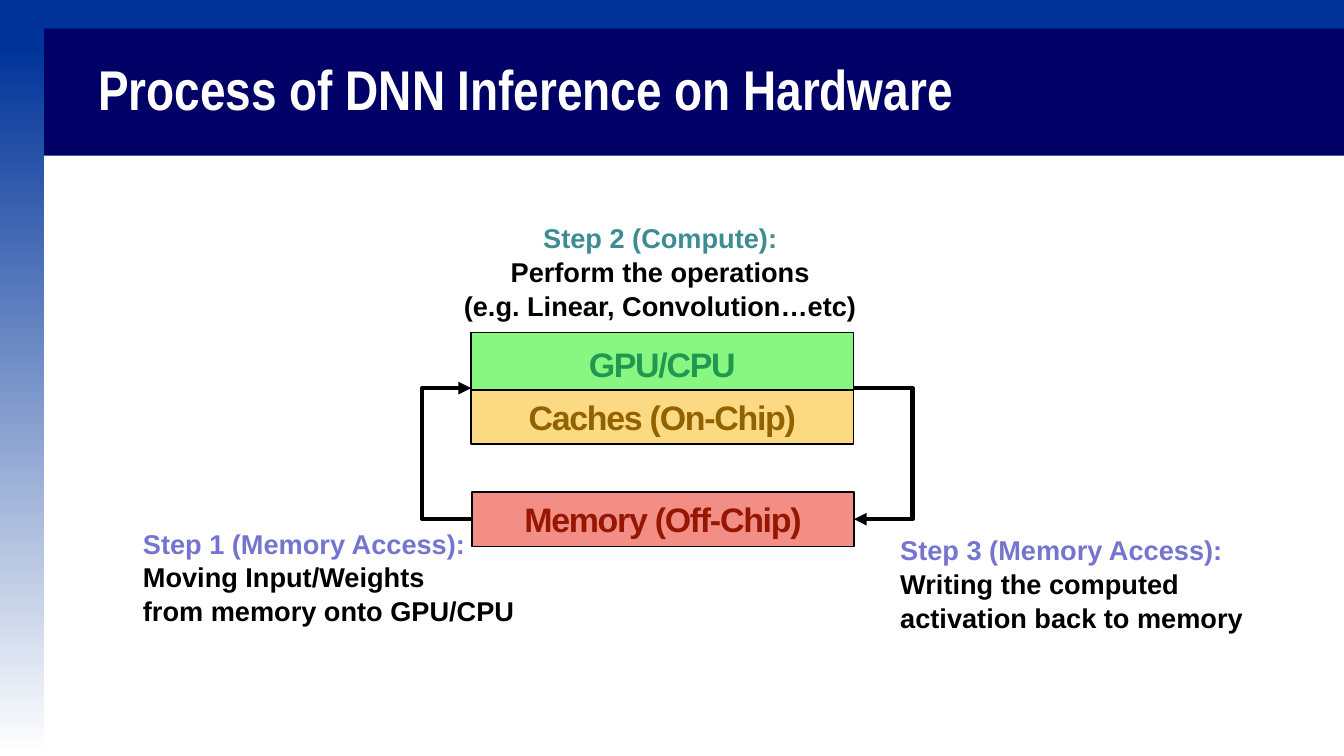
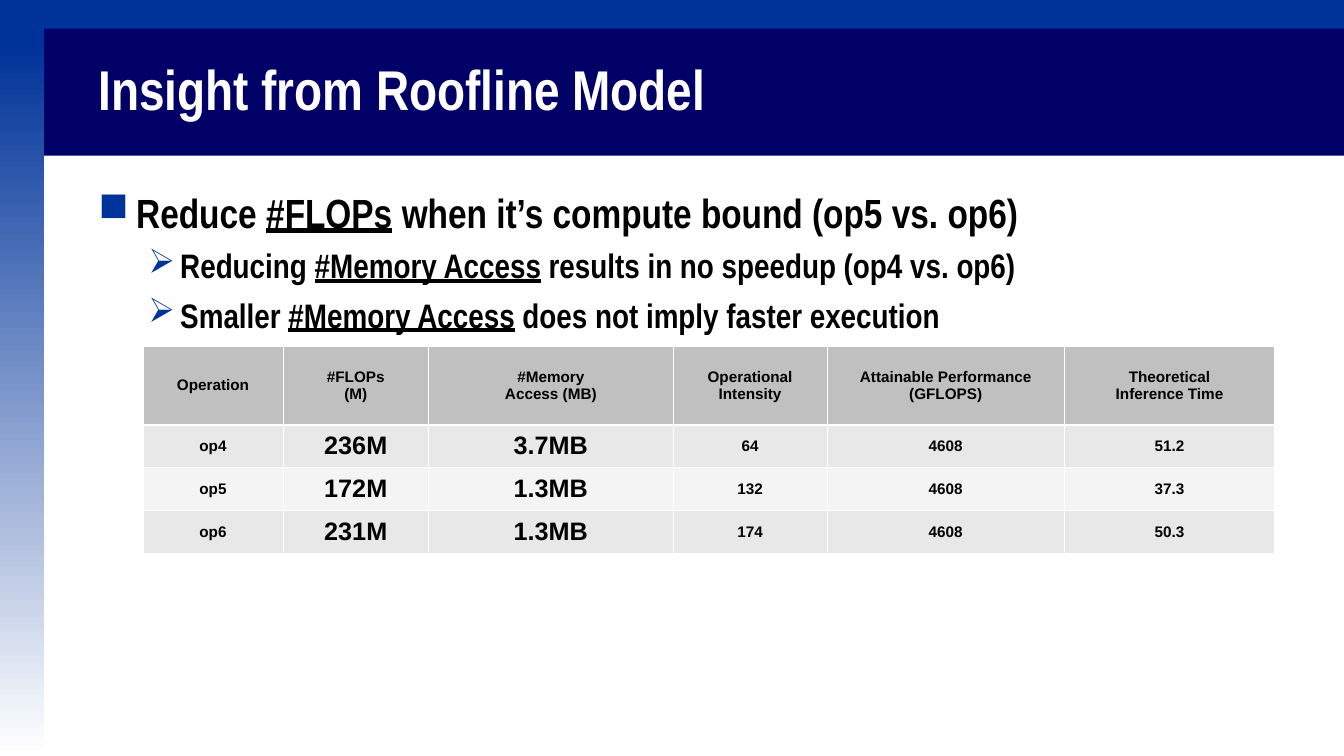
from dataclasses import dataclass

from lxml import etree
from pptx import Presentation
from pptx.dml.color import RGBColor
from pptx.enum.shapes import MSO_CONNECTOR, MSO_SHAPE
from pptx.enum.text import MSO_ANCHOR, PP_ALIGN
from pptx.oxml.ns import qn
from pptx.util import Cm, Pt

RECTANGLE = MSO_SHAPE.RECTANGLE
ELBOW = MSO_CONNECTOR.ELBOW
TOP, MIDDLE = MSO_ANCHOR.TOP, MSO_ANCHOR.MIDDLE
LEFT, CENTER = PP_ALIGN.LEFT, PP_ALIGN.CENTER

SANS, NARROW = "Arial", "Arial Narrow"
BLUE, NAVY, WHITE, BLACK = "003399", "000066", "FFFFFF", "000000"
TEAL, VIOLET = "3C8C93", "7575D1"
HEADER_GRAY, ROW_GRAYS = "C0C0C0", ("E8E8E8", "F4F4F4")
SLIDE_W, SLIDE_H = 55.85, 31.42
LEFT_SIDE, RIGHT_SIDE = 1, 3


@dataclass(frozen=True)
class Unit:
    label: str
    left: float
    top: float
    height: float
    fill: str
    ink: str
    anchor: MSO_ANCHOR = MIDDLE


@dataclass(frozen=True)
class Step:
    heading: str
    details: tuple[str, ...]
    left: float
    top: float
    width: float
    ink: str
    align: PP_ALIGN = LEFT


@dataclass(frozen=True)
class Point:
    before: str
    key: str
    after: str
    size: int
    bullet: str
    margin: float
    hang: float


@dataclass(frozen=True)
class Column:
    heading: str
    width: float
    values: tuple[str, ...]
    size: float = 18


UNIT_W = 15.88
PROCESSOR = Unit("GPU/CPU", 19.58, 13.82, 4.62, "88F781", "21984F", TOP)
CACHES = Unit("Caches (On-Chip)", 19.58, 16.2, 2.26, "FCDA84", "926100")
MEMORY = Unit("Memory (Off-Chip)", 19.61, 20.45, 2.26, "F38E86", "951700")

STEPS = (
    Step("Step 2 (Compute):", ("Perform the operations", "(e.g. Linear, Convolution…etc)"),
         18.97, 9.04, 16.94, TEAL, CENTER),
    Step("Step 1 (Memory Access):", ("Moving Input/Weights", "from memory onto GPU/CPU"),
         5.69, 21.72, 16.41, VIOLET),
    Step("Step 3 (Memory Access):", ("Writing the computed", "activation back to memory"),
         37.16, 22, 14.86, VIOLET),
)

POINTS = (
    Point("Reduce ", "#FLOPs", " when it’s compute bound (op5 vs. op6)", 48, "■", 1.57, 1.57),
    Point("Reducing ", "#Memory Access", " results in no speedup (op4 vs. op6)", 40, "➢", 3.4, 1.32),
    Point("Smaller ", "#Memory Access", " does not imply faster execution", 40, "➢", 3.4, 1.32),
)

COLUMNS = (
    Column("Operation", 5.82, ("op4", "op5", "op6")),
    Column("#FLOPs\n(M)", 6.05, ("236M", "172M", "231M"), 29.7),
    Column("#Memory\nAccess (MB)", 10.16, ("3.7MB", "1.3MB", "1.3MB"), 29.7),
    Column("Operational Intensity", 6.4, ("64", "132", "174")),
    Column("Attainable Performance\n(GFLOPS)", 9.86, ("4608", "4608", "4608")),
    Column("Theoretical\nInference Time", 8.74, ("51.2", "37.3", "50.3")),
)
HEADER_H, ROW_H = 3.25, 1.78


def rgb(value: str) -> RGBColor:
    return RGBColor.from_string(value)


def style(paragraph, face: str, size: float, ink: str, align=LEFT) -> None:
    paragraph.alignment = align
    font = paragraph.font
    font.name, font.size, font.bold = face, Pt(size), True
    font.color.rgb = rgb(ink)


def add_box(slide, left: float, top: float, width: float, height: float):
    box = slide.shapes.add_shape(RECTANGLE, Cm(left), Cm(top), Cm(width), Cm(height))
    box.shadow.inherit = False
    box.line.fill.background()
    return box


def add_band(slide, left: float, top: float, width: float, height: float, fill: str):
    band = add_box(slide, left, top, width, height)
    band.fill.solid()
    band.fill.fore_color.rgb = rgb(fill)
    return band


def add_text(slide, left: float, top: float, width: float, height: float):
    box = slide.shapes.add_textbox(Cm(left), Cm(top), Cm(width), Cm(height))
    box.text_frame.word_wrap = True
    return box.text_frame


def add_titled_slide(deck, title: str):
    slide = deck.slides.add_slide(deck.slide_layouts[6])
    add_band(slide, 0, 0, SLIDE_W, 3.3, BLUE)
    add_band(slide, 0, 1.19, SLIDE_W, 5.28, NAVY)
    stripe = add_box(slide, 0, 0, 1.85, SLIDE_H)
    stripe.fill.gradient()
    stripe.fill.gradient_angle = 270
    for stop, position, ink in zip(stripe.fill.gradient_stops, (0.06, 1), (BLUE, WHITE)):
        stop.position = position
        stop.color.rgb = rgb(ink)
    frame = add_text(slide, 3.84, 1.19, 48.16, 5.28)
    frame.vertical_anchor = MIDDLE
    heading = frame.paragraphs[0]
    heading.text = title
    heading.line_spacing = 0.9
    style(heading, NARROW, 66, WHITE)
    return slide


def add_unit(slide, unit: Unit):
    box = add_band(slide, unit.left, unit.top, UNIT_W, unit.height, unit.fill)
    box.line.color.rgb = rgb(BLACK)
    box.line.width = Pt(1.75)
    frame = box.text_frame
    frame.vertical_anchor = unit.anchor
    if unit.anchor == TOP:
        frame.margin_top = Cm(0.45)
    label = frame.paragraphs[0]
    label.text = unit.label
    style(label, SANS, 40, unit.ink, CENTER)
    label._p.get_or_add_pPr().get_or_add_defRPr().set("spc", "-150")
    return box


def add_transfer(slide, processor, memory, side: int, bend: float, arrow_end: str) -> None:
    link = slide.shapes.add_connector(ELBOW, 0, 0, 0, 0)
    link.begin_connect(processor, side)
    link.end_connect(memory, side)
    link.line.color.rgb = rgb(BLACK)
    link.line.width = Pt(5)
    properties = link._element.spPr
    etree.SubElement(properties.find(qn("a:ln")), qn(arrow_end), type="triangle")
    etree.SubElement(properties, qn("a:effectLst"))
    geometry = properties.find(qn("a:prstGeom"))
    guides = geometry.find(qn("a:avLst"))
    if guides is None:
        guides = etree.SubElement(geometry, qn("a:avLst"))
    ratio = round((Cm(bend) - link.begin_x) / (link.end_x - link.begin_x) * 100000)
    etree.SubElement(guides, qn("a:gd"), name="adj1", fmla=f"val {ratio}")


def add_step(slide, step: Step) -> None:
    frame = add_text(slide, step.left, step.top, step.width, 4.37)
    frame.word_wrap = False
    frame.text = "\n".join((step.heading, *step.details))
    for index, paragraph in enumerate(frame.paragraphs):
        paragraph.line_spacing = 1.04
        style(paragraph, SANS, 32, BLACK if index else step.ink, step.align)


def add_points(slide, points: tuple[Point, ...]) -> None:
    frame = add_text(slide, 3.84, 7.67, 51.18, 6.6)
    for index, point in enumerate(points):
        paragraph = frame.add_paragraph() if index else frame.paragraphs[0]
        for text in (point.before, point.key, point.after):
            run = paragraph.add_run()
            run.text = text
            if text == point.key:
                run.font.underline = True
        properties = paragraph._p.get_or_add_pPr()
        properties.set("marL", str(Cm(point.margin)))
        properties.set("indent", str(-Cm(point.hang)))
        tint = etree.SubElement(properties, qn("a:buClr"))
        etree.SubElement(tint, qn("a:srgbClr"), val=BLUE)
        etree.SubElement(properties, qn("a:buChar"), char=point.bullet)
        if index:
            paragraph.space_before = Pt(10)
        style(paragraph, NARROW, point.size, BLACK)


def fill_cell(cell, text: str, size: float, fill: str, rules: dict[str, float]) -> None:
    cell.text = text
    cell.vertical_anchor = MIDDLE
    for paragraph in cell.text_frame.paragraphs:
        style(paragraph, SANS, size, BLACK, CENTER)
    properties = cell._tc.get_or_add_tcPr()
    for edge, weight in rules.items():
        rule = etree.SubElement(properties, qn(f"a:{edge}"), w=str(Pt(weight)))
        paint = etree.SubElement(rule, qn("a:solidFill"))
        etree.SubElement(paint, qn("a:srgbClr"), val=WHITE)
    cell.fill.solid()
    cell.fill.fore_color.rgb = rgb(fill)


def add_operations(slide, columns: tuple[Column, ...]) -> None:
    count = len(columns[0].values)
    width = sum(column.width for column in columns)
    table = slide.shapes.add_table(count + 1, len(columns), Cm(5.94), Cm(14.4),
                                   Cm(width), Cm(HEADER_H + count * ROW_H)).table
    for row_index, row in enumerate(table.rows):
        row.height = Cm(ROW_H if row_index else HEADER_H)
    for column_index, column in enumerate(columns):
        table.columns[column_index].width = Cm(column.width)
        for row_index, text in enumerate((column.heading, *column.values)):
            is_header = row_index == 0
            rules = {"lnL": 1, "lnR": 1, "lnT": 3 if row_index == 1 else 1,
                     "lnB": 3 if is_header else 1}
            fill = HEADER_GRAY if is_header else ROW_GRAYS[(row_index - 1) % 2]
            fill_cell(table.cell(row_index, column_index), text,
                      18 if is_header else column.size, fill, rules)


def build_process(deck) -> None:
    slide = add_titled_slide(deck, "Process of DNN Inference on Hardware")
    processor, memory, _ = [add_unit(slide, unit) for unit in (PROCESSOR, MEMORY, CACHES)]
    add_transfer(slide, processor, memory, LEFT_SIDE, 17.55, "a:headEnd")
    add_transfer(slide, processor, memory, RIGHT_SIDE, 37.92, "a:tailEnd")
    for step in STEPS:
        add_step(slide, step)


def build_insight(deck) -> None:
    slide = add_titled_slide(deck, "Insight from Roofline Model")
    add_points(slide, POINTS)
    add_operations(slide, COLUMNS)


def main() -> None:
    deck = Presentation()
    deck.slide_width, deck.slide_height = Cm(SLIDE_W), Cm(SLIDE_H)
    build_process(deck)
    build_insight(deck)
    deck.save("out.pptx")


if __name__ == "__main__":
    main()
